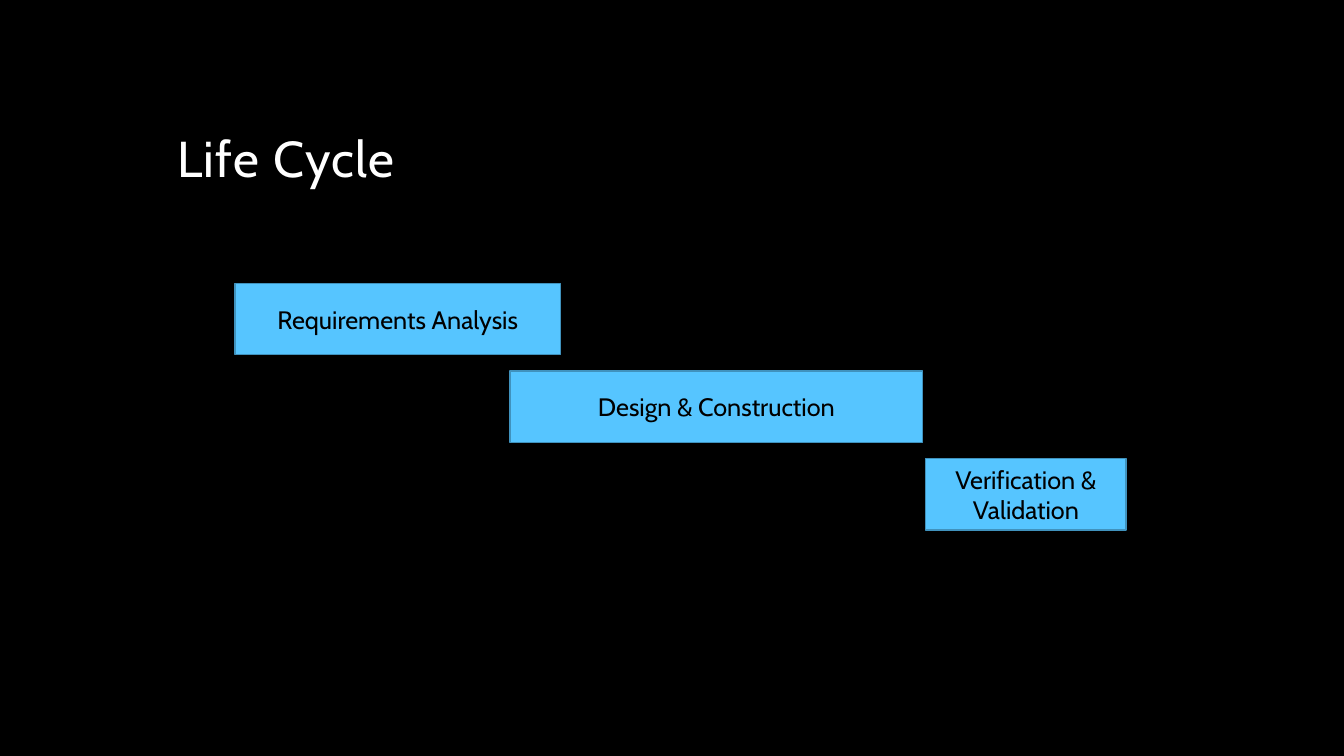
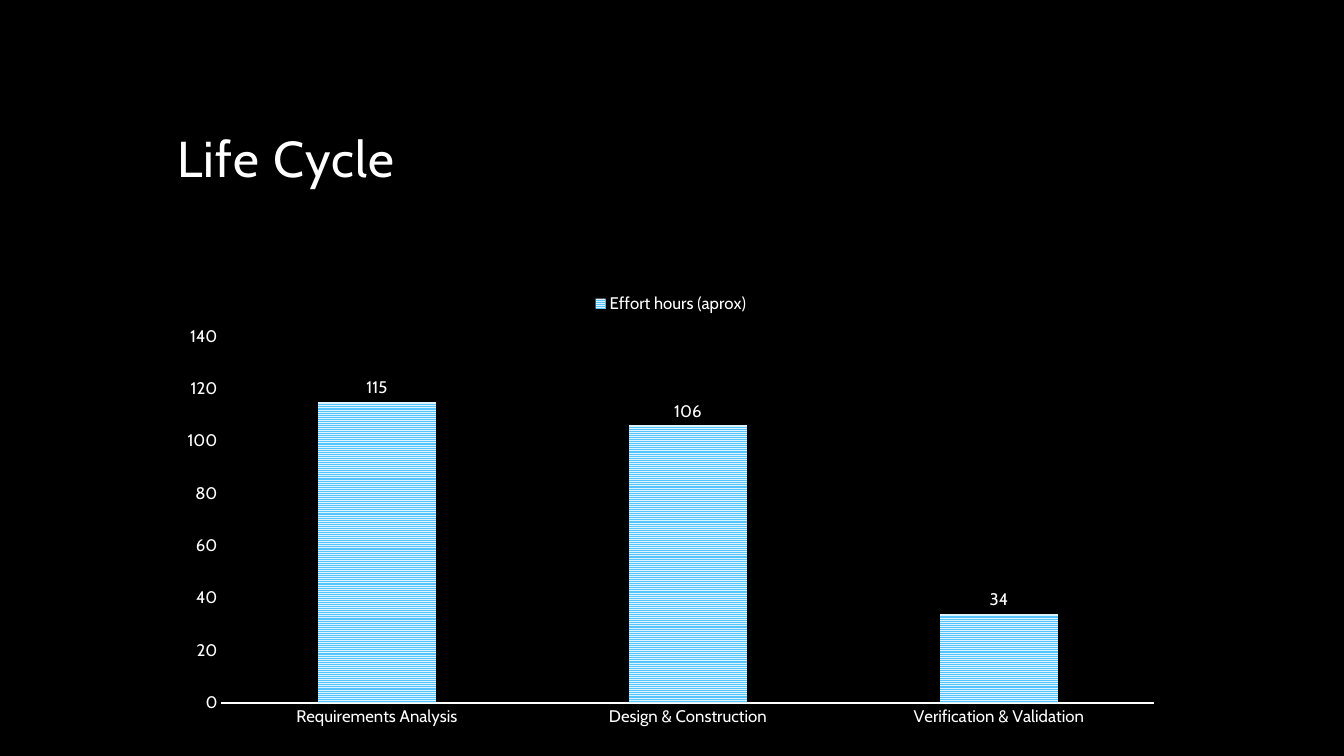
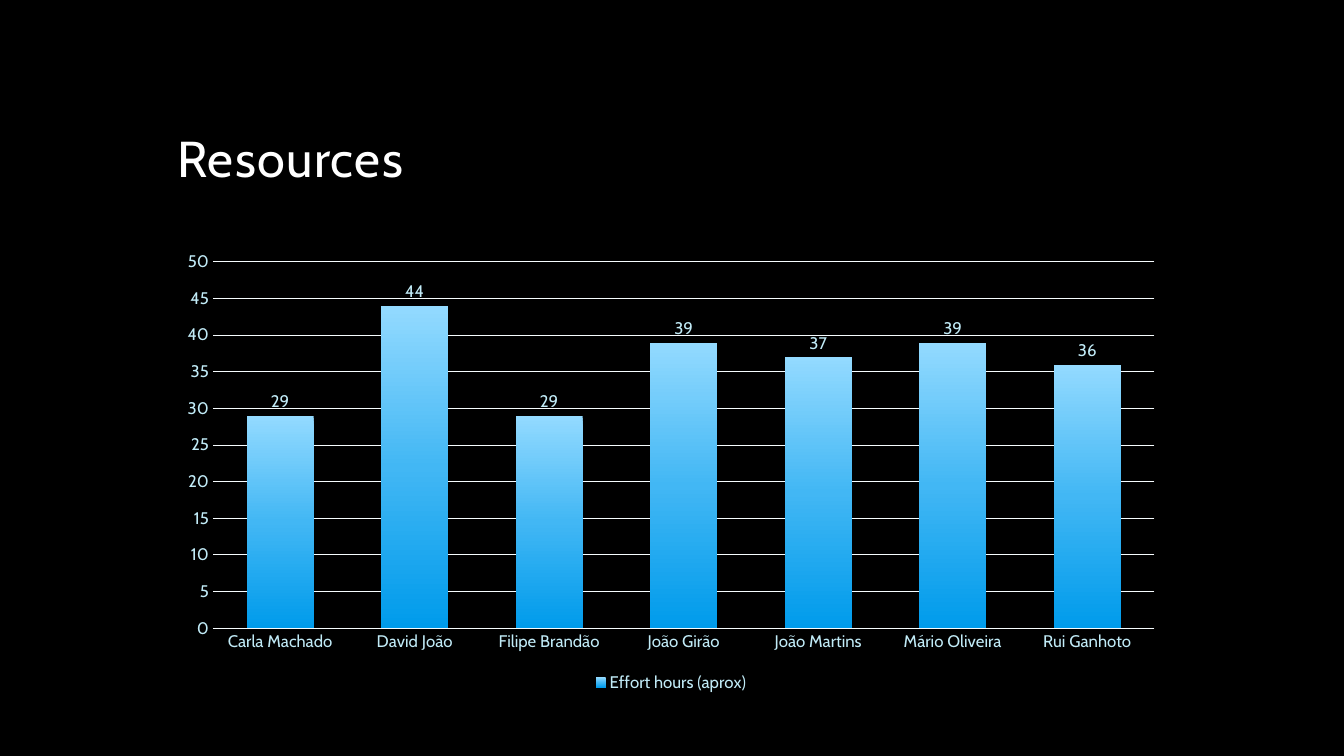
import copy

import pptx
import pptx.chart.data
import pptx.dml.color
import pptx.enum.chart
import pptx.enum.dml
import pptx.enum.shapes
import pptx.enum.text
import pptx.oxml.ns
import pptx.util

RGBColor = pptx.dml.color.RGBColor
BLACK = RGBColor(0x00, 0x00, 0x00)
WHITE = RGBColor(0xFF, 0xFF, 0xFF)
SKY = RGBColor(0x56, 0xC5, 0xFF)
SKY_EDGE = RGBColor(0x40, 0x92, 0xBD)
PALE_SKY = RGBColor(0xDD, 0xF3, 0xFF)
ICE = RGBColor(0xC1, 0xEB, 0xF7)
FROST = RGBColor(0xF6, 0xFC, 0xFE)
BLUES = [
    RGBColor(0x93, 0xDA, 0xFF),
    RGBColor(0x42, 0xB7, 0xF4),
    RGBColor(0x00, 0x9B, 0xEB),
]
FONT = "Cabin"
PHASES = ["Requirements Analysis", "Design & Construction", "Verification & Validation"]
PHASE_HOURS = [115, 106, 34]
PEOPLE_HOURS = {
    "Carla Machado": 29,
    "David João": 44,
    "Filipe Brandão": 29,
    "João Girão": 39,
    "João Martins": 37,
    "Mário Oliveira": 39,
    "Rui Ganhoto": 36,
}


def px(n):
    return pptx.util.Emu(n * 9144)


def box(*lengths):
    return [px(n) for n in lengths]


def style_font(font, size, color):
    font.name = FONT
    font.size = pptx.util.Pt(size)
    font.color.rgb = color


def write(shape, text, size=18, color=BLACK, align="LEFT", anchor="MIDDLE",
          line_spacing=None, tracking=None):
    tf = shape.text_frame
    tf.word_wrap = True
    tf.vertical_anchor = pptx.enum.text.MSO_ANCHOR[anchor]
    p = tf.paragraphs[0]
    p.alignment = pptx.enum.text.PP_ALIGN[align]
    p.line_spacing = line_spacing
    r = p.add_run()
    r.text = text
    style_font(r.font, size, color)
    if tracking:
        r.font._element.set("spc", str(tracking * 100))


def add_slide(prs, title):
    s = prs.slides.add_slide(prs.slide_layouts[6])
    write(s.shapes.add_textbox(*box(166, 42, 1000, 150)), title, size=36, color=WHITE,
          anchor="BOTTOM", line_spacing=0.9, tracking=1)
    return s


def add_phase(s, text, left, top, width):
    sp = s.shapes.add_shape(pptx.enum.shapes.MSO_SHAPE.RECTANGLE, *box(left, top, width, 71))
    sp.shadow.inherit = False
    sp.fill.solid()
    sp.fill.fore_color.rgb = SKY
    sp.line.color.rgb = SKY_EDGE
    sp.line.width = pptx.util.Pt(1)
    write(sp, text, align="CENTER")


def style_line(line, color, width):
    line.color.rgb = color
    line.width = pptx.util.Pt(width)


def add_effort_chart(s, top, cats, hours, maximum, step, legend, gap, overlap,
                     text_color, axis_color, axis_width, grid=False):
    data = pptx.chart.data.CategoryChartData()
    data.categories = cats
    data.add_series("Effort hours (aprox)", hours)
    kind = pptx.enum.chart.XL_CHART_TYPE.COLUMN_CLUSTERED
    chart = s.shapes.add_chart(kind, *box(166, top, 999, 450), data).chart
    chart.has_title = False
    style_font(chart.font, 12, text_color)

    chart.has_legend = True
    chart.legend.position = pptx.enum.chart.XL_LEGEND_POSITION[legend]
    chart.legend.include_in_layout = False
    style_font(chart.legend.font, 12, text_color)

    for axis in (chart.category_axis, chart.value_axis):
        axis.major_tick_mark = pptx.enum.chart.XL_TICK_MARK.NONE
        axis.minor_tick_mark = pptx.enum.chart.XL_TICK_MARK.NONE
        style_font(axis.tick_labels.font, 12, text_color)
    style_line(chart.category_axis.format.line, axis_color, axis_width)
    axis = chart.value_axis
    axis.minimum_scale, axis.maximum_scale, axis.major_unit = 0, maximum, step
    axis.format.line.fill.background()
    axis.has_major_gridlines = grid
    if grid:
        style_line(axis.major_gridlines.format.line, axis_color, axis_width)

    plot = chart.plots[0]
    plot.vary_by_categories = False
    plot.gap_width, plot.overlap = gap, overlap
    plot.has_data_labels = True
    labels = plot.data_labels
    labels.show_value = True
    labels.position = pptx.enum.chart.XL_LABEL_POSITION.OUTSIDE_END
    style_font(labels.font, 12, text_color)
    series = plot.series[0]
    series.invert_if_negative = False
    return series


def fill_stripes(series):
    fill = series.format.fill
    fill.patterned()
    fill.pattern = pptx.enum.dml.MSO_PATTERN.NARROW_HORIZONTAL
    fill.fore_color.rgb = SKY
    fill.back_color.rgb = PALE_SKY


def fill_gradient(series, colors):
    fill = series.format.fill
    fill.gradient()
    fill.gradient_angle = 270
    stops = series._element.find(".//" + pptx.oxml.ns.qn("a:gsLst"))
    while len(stops) < len(colors):
        stops.append(copy.deepcopy(stops[0]))
    for i, (stop, color) in enumerate(zip(fill.gradient_stops, colors)):
        stop.position = i / (len(colors) - 1)
        stop.color.rgb = color


def main():
    prs = pptx.Presentation()
    prs.slide_width, prs.slide_height = box(1333, 750)
    background = prs.slide_master.background.fill
    background.solid()
    background.fore_color.rgb = BLACK

    s = add_slide(prs, "Life Cycle")
    spans = [(233, 323), (506, 409), (918, 199)]
    for i, (text, (left, width)) in enumerate(zip(PHASES, spans)):
        add_phase(s, text, left, 281 + 87 * i, width)

    s = add_slide(prs, "Life Cycle")
    fill_stripes(add_effort_chart(
        s, 280, PHASES, PHASE_HOURS, maximum=140, step=20, legend="TOP", gap=164,
        overlap=-22, text_color=WHITE, axis_color=WHITE, axis_width=1.5))

    s = add_slide(prs, "Resources")
    fill_gradient(add_effort_chart(
        s, 241, list(PEOPLE_HOURS), list(PEOPLE_HOURS.values()), maximum=50, step=5,
        legend="BOTTOM", gap=100, overlap=-24, text_color=ICE, axis_color=FROST,
        axis_width=0.75, grid=True), BLUES)

    prs.save("out.pptx")


if __name__ == "__main__":
    main()
